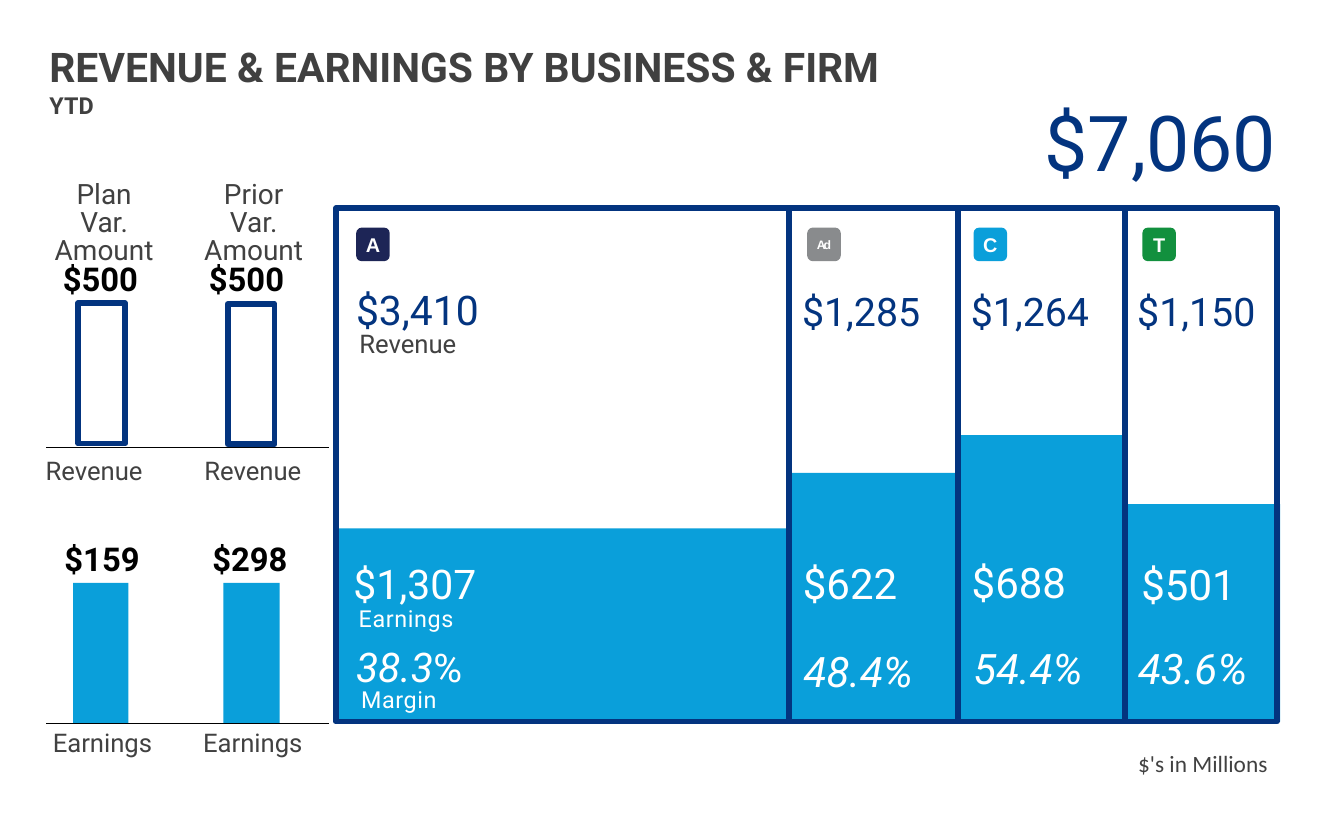
import pptx
import pptx.dml.color
import pptx.enum.shapes
import pptx.enum.text
import pptx.oxml.ns
import pptx.util
from pptx.util import Inches
import lxml.etree

NAVY, SKY, GREY = "03347F", "0A9FDA", "414141"
WHITE, BLACK = "FFFFFF", "000000"
SHAPES = pptx.enum.shapes.MSO_SHAPE
ALIGN = pptx.enum.text.PP_ALIGN
FRAME_LEFT, FRAME_TOP, FRAME_WIDTH, FRAME_HEIGHT = 4, 2.48, 11.2, 6.11
FRAME_BOTTOM = FRAME_TOP + FRAME_HEIGHT

# Earnings block: left, top, width.
# Badge: label, colour, left, size, letter spacing.
# Figures: text, left, top, size.
BUSINESSES = [
    dict(block=(4.03, 6.29, 5.4), badge=("A", "1D2556", 4.24, 17, 0),
         revenue=("$3,410", 4.14, 3.34, 35), earnings=("$1,307", 4.11, 6.6, 35),
         margin=("38.3", 4.14, 7.59, 35)),
    dict(block=(9.41, 5.63, 1.98), badge=("Ad", "898B8D", 9.61, 10.5, -1.5),
         revenue=("$1,285", 9.45, 3.37, 33.7), earnings=("$622", 9.46, 6.59, 36),
         margin=("48.4%", 9.47, 7.63, 36)),
    dict(block=(11.44, 5.18, 1.98), badge=("C", SKY, 11.59, 17, -1.5),
         revenue=("$1,264", 11.46, 3.37, 33.7), earnings=("$688", 11.47, 6.58, 36),
         margin=("54.4%", 11.49, 7.6, 36)),
    dict(block=(13.4, 6, 1.84), badge=("T", "12903E", 13.6, 17, -1.5),
         revenue=("$1,150", 13.44, 3.37, 33.7), earnings=("$501", 13.49, 6.6, 36),
         margin=("43.6%", 13.45, 7.6, 36)),
]
DIVIDERS = [9.39, 11.4, 13.39]

# Heading: text, left. Bars: left, top, width. Amounts and captions: text, left.
VARIANCES = [
    dict(heading=("Plan", 0.52),
         revenue_bar=(0.93, 3.61, 0.56), revenue=("$500", 0.54), revenue_caption=0.21,
         earnings_bar=(0.87, 6.94, 0.66), earnings=("$159", 0.56), earnings_caption=0.31),
    dict(heading=("Prior", 2.3),
         revenue_bar=(2.71, 3.62, 0.56), revenue=("$500", 2.28), revenue_caption=2.1,
         earnings_bar=(2.66, 6.94, 0.67), earnings=("$298", 2.32), earnings_caption=2.1),
]
BAR_HEIGHT = 1.67


def rgb(hex_colour):
    return pptx.dml.color.RGBColor.from_string(hex_colour)


def add_run(paragraph, text, size=22, colour=GREY, font="Roboto",
            bold=False, italic=False, spacing=0):
    run = paragraph.add_run()
    run.text = text
    run.font.name = font
    run.font.size = pptx.util.Pt(size)
    run.font.bold = bold
    run.font.italic = italic
    run.font.color.rgb = rgb(colour)
    if spacing:
        run._r.get_or_add_rPr().set("spc", str(int(spacing * 100)))


def add_text(slide, text, left, top, width, height, align=ALIGN.LEFT, leading=None, **style):
    frame = slide.shapes.add_textbox(
        Inches(left), Inches(top), Inches(width), Inches(height)).text_frame
    frame.word_wrap = True
    for index, line in enumerate(text.split("\n")):
        paragraph = frame.add_paragraph() if index else frame.paragraphs[0]
        paragraph.alignment = align
        if leading:
            paragraph.line_spacing = pptx.util.Pt(leading)
        add_run(paragraph, line, **style)
    return frame


def add_box(slide, left, top, width, height, fill=None, line=None, kind=SHAPES.RECTANGLE):
    box = slide.shapes.add_shape(
        kind, Inches(left), Inches(top), Inches(width), Inches(height))
    box.shadow.inherit = False
    if fill:
        box.fill.solid()
        box.fill.fore_color.rgb = rgb(fill)
    else:
        box.fill.background()
    if line:
        box.line.color.rgb = rgb(line)
        box.line.width = pptx.util.Pt(5)
    else:
        box.line.fill.background()
    return box


def add_rule(slide, x1, y1, x2, y2, colour, weight):
    rule = slide.shapes.add_connector(
        pptx.enum.shapes.MSO_CONNECTOR.STRAIGHT,
        Inches(x1), Inches(y1), Inches(x2), Inches(y2))
    rule.line.color.rgb = rgb(colour)
    rule.line.width = pptx.util.Pt(weight)
    lxml.etree.SubElement(rule._element.spPr, pptx.oxml.ns.qn("a:effectLst"))


def add_badge(slide, label, colour, left, size, spacing):
    badge = add_box(slide, left, 2.71, 0.4, 0.4, fill=colour, kind=SHAPES.ROUNDED_RECTANGLE)
    frame = badge.text_frame
    frame.margin_left = frame.margin_right = frame.margin_top = frame.margin_bottom = 0
    frame.vertical_anchor = pptx.enum.text.MSO_ANCHOR.MIDDLE
    frame.paragraphs[0].alignment = ALIGN.CENTER
    add_run(frame.paragraphs[0], label, size=size, colour=WHITE, font="Arial",
            bold=True, spacing=spacing)


def add_figure(slide, text, left, top, size, **style):
    return add_text(slide, text, left, top, 1.74, 0.7, size=size, **style)


def add_business(slide, business):
    add_badge(slide, *business["badge"])
    add_figure(slide, *business["revenue"], colour=NAVY)
    add_figure(slide, *business["earnings"], colour=WHITE)
    return add_figure(slide, *business["margin"], colour=WHITE, italic=True)


def add_variance(slide, variance):
    period, left = variance["heading"]
    add_text(slide, f"{period}\nVar.\nAmount", left, 2.12, 1.44, 1.12,
             align=ALIGN.CENTER, leading=24, size=24)
    measures = [("revenue", "Revenue", 3.03, 5.37, dict(fill=WHITE, line=NAVY)),
                ("earnings", "Earnings", 6.37, 8.61, dict(fill=SKY))]
    for measure, caption, amount_top, caption_top, look in measures:
        add_box(slide, *variance[measure + "_bar"], BAR_HEIGHT, **look)
        amount, amount_left = variance[measure]
        add_text(slide, amount, amount_left, amount_top, 1.31, 0.57,
                 align=ALIGN.CENTER, size=28.1, colour=BLACK, bold=True)
        add_text(slide, caption, variance[measure + "_caption"], caption_top, 1.82, 0.47,
                 align=ALIGN.CENTER)


def main():
    deck = pptx.Presentation()
    deck.slide_width, deck.slide_height = Inches(16), Inches(10)
    slide = deck.slides.add_slide(deck.slide_layouts[6])

    # Title and total
    title = add_text(slide, "REVENUE & EARNINGS BY BUSINESS & FIRM", 0.49, 0.45, 12.48, 1.03,
                     size=35, colour="404040", bold=True)
    add_run(title.add_paragraph(), "YTD", size=20, colour="404040", bold=True)
    add_text(slide, "$7,060", 11.36, 1.08, 3.93, 1.21, align=ALIGN.RIGHT, size=66, colour=NAVY)

    # Earnings blocks inside the revenue frame
    for business in BUSINESSES:
        left, top, width = business["block"]
        add_box(slide, left, top, width, FRAME_BOTTOM - top, fill=SKY)
    add_box(slide, FRAME_LEFT, FRAME_TOP, FRAME_WIDTH, FRAME_HEIGHT, line=NAVY)
    for x in DIVIDERS:
        add_rule(slide, x, 2.46, x, 8.56, NAVY, 5)

    # Business badges and figures
    margins = [add_business(slide, business) for business in BUSINESSES]
    add_run(margins[0].paragraphs[0], "%", size=33.7, colour=WHITE)

    # Captions in the first business
    add_text(slide, "Revenue", 4.18, 3.86, 1.7, 0.47)
    add_text(slide, "Earnings", 4.13, 7.14, 1.41, 0.44, align=ALIGN.CENTER,
             size=20, colour=WHITE, spacing=0.5)
    add_text(slide, "Margin", 4.2, 8.11, 1.31, 0.44, size=20, colour=WHITE, spacing=0.5)

    # Variance bars on their baselines
    for variance in VARIANCES:
        add_variance(slide, variance)
    for y in (5.32, 8.61):
        add_rule(slide, 0.55, y, 3.92, y, BLACK, 0.5)

    # Unit note
    add_text(slide, "$'s in Millions", 13.23, 8.87, 1.96, 0.44, align=ALIGN.RIGHT,
             size=20, font="Calibri")

    deck.save("out.pptx")


if __name__ == "__main__":
    main()
